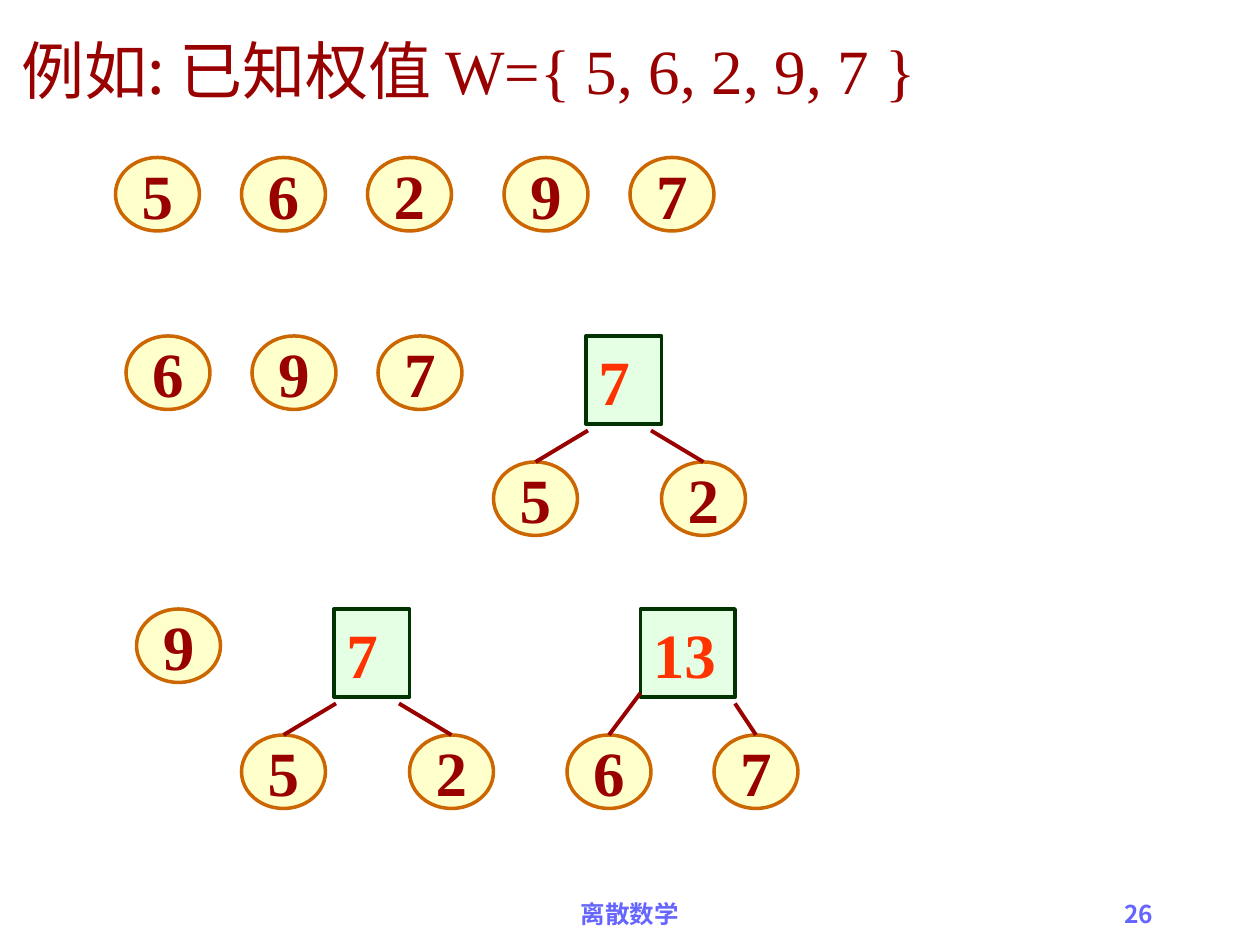
from lxml import etree
from pptx import Presentation
from pptx.dml.color import RGBColor
from pptx.enum.shapes import MSO_CONNECTOR, MSO_SHAPE
from pptx.enum.text import MSO_ANCHOR, MSO_AUTO_SIZE, PP_ALIGN
from pptx.oxml.ns import qn
from pptx.util import Inches, Pt

OVAL, RECTANGLE = MSO_SHAPE.OVAL, MSO_SHAPE.RECTANGLE
STRAIGHT = MSO_CONNECTOR.STRAIGHT
TOP, MIDDLE = MSO_ANCHOR.TOP, MSO_ANCHOR.MIDDLE
LEFT, CENTER, RIGHT = PP_ALIGN.LEFT, PP_ALIGN.CENTER, PP_ALIGN.RIGHT
FIT = MSO_AUTO_SIZE.SHAPE_TO_FIT_TEXT

DARK_RED = RGBColor(0x99, 0x00, 0x00)
BRIGHT_RED = RGBColor(0xFF, 0x33, 0x00)
YELLOW = RGBColor(0xFF, 0xFF, 0x99)
ORANGE = RGBColor(0xCC, 0x66, 0x00)
PALE_GREEN = RGBColor(0xCC, 0xFF, 0xCC)
DARK_GREEN = RGBColor(0x00, 0x33, 0x00)
VIOLET = RGBColor(0x66, 0x66, 0xFF)
SERIF, SANS = "Times New Roman", "Noto Sans CJK SC"

# Diagram places are in grid cells, twelve to the inch.
CELL = Inches(1) / 12
LEAF_WIDTH, LEAF_HEIGHT, ROOT_HEIGHT = 8, 7, 8.4
CHILD_DROP = 12  # from the top of a root to the top of its children

TITLE = [("例如: 已知权值 ", SANS), ("W={ 5, 6, 2, 9, 7 }", SERIF)]
# Each step: top, single leaves as (label, left), trees.
# Each tree: root (label, left, width), then children
# as (label, left, start of the edge below the root's top).
STEPS = [
    (15, [("5", 11), ("6", 23), ("2", 35), ("9", 48), ("7", 60)], []),
    (32, [("6", 12), ("9", 24), ("7", 36)],
     [(("7", 55.8, 7.2), [("5", 47, (56, 9)), ("2", 63, (62, 9))])]),
    (58, [("9", 13)],
     [(("7", 31.8, 7.2), [("5", 23, (32, 9)), ("2", 39, (38, 9))]),
      (("13", 61, 9), [("6", 54, (61, 8)), ("7", 68, (70, 9))])]),
]
# Text, left, width, alignment, font
FOOTERS = [("离散数学", 41, 38, CENTER, SERIF), ("26", 86, 25, RIGHT, SANS)]
FOOTER_TOP, FOOTER_HEIGHT = 85, 6


def cells(*counts):
    return [round(count * CELL) for count in counts]


def write(box, runs, size=36, color=DARK_RED, bold=False, align=LEFT,
          anchor=TOP, wrap=True, fit=MSO_AUTO_SIZE.NONE):
    """Fill a shape with one paragraph of (text, font) runs."""
    frame = box.text_frame
    frame.word_wrap, frame.auto_size = wrap, fit
    frame.vertical_anchor = anchor
    para = frame.paragraphs[0]
    para.alignment = align
    for text, face in runs:
        span = para.add_run()
        span.text = text
        span.font.name, span.font.size = face, Pt(size)
        span.font.bold, span.font.color.rgb = bold, color
        east_asian = etree.SubElement(span.font._element, qn("a:ea"))
        east_asian.set("typeface", SANS)


def add_node(page, kind, place, fill, outline):
    node = page.shapes.add_shape(kind, *cells(*place))
    node.shadow.inherit = False
    node.fill.solid()
    node.fill.fore_color.rgb = fill
    color = node.fill._xPr.find(qn("a:solidFill"))[0]
    etree.SubElement(color, qn("a:alpha")).set("val", "50000")
    node.line.color.rgb, node.line.width = outline, Pt(2)
    return node


def add_leaf(page, label, left, top):
    leaf = add_node(page, OVAL, (left, top, LEAF_WIDTH, LEAF_HEIGHT), YELLOW, ORANGE)
    write(leaf, [(label, SERIF)], bold=True, align=CENTER, anchor=MIDDLE, wrap=False)


def add_edge(page, start, end):
    edge = page.shapes.add_connector(STRAIGHT, *cells(*start, *end))
    edge.line.color.rgb, edge.line.width = DARK_RED, Pt(2.25)
    etree.SubElement(edge._element.spPr, qn("a:effectLst"))


def add_tree(page, top, root, children):
    label, left, width = root
    box = add_node(page, RECTANGLE, (left, top, width, ROOT_HEIGHT), PALE_GREEN, DARK_GREEN)
    write(box, [(label, SERIF)], color=BRIGHT_RED, bold=True, fit=FIT)
    child_top = top + CHILD_DROP
    for label, left, (edge_x, edge_drop) in children:
        add_leaf(page, label, left, child_top)
        add_edge(page, (edge_x, top + edge_drop), (left + LEAF_WIDTH / 2, child_top))


def main():
    deck = Presentation()
    deck.slide_width, deck.slide_height = Inches(10), Inches(7.5)
    page = deck.slides.add_slide(deck.slide_layouts[5])

    title = page.shapes.title
    title.left, title.top = Inches(0.07), Inches(0.2)
    title.width, title.height = Inches(8.04), Inches(0.7)
    write(title, TITLE, wrap=False, fit=FIT)

    for top, leaves, trees in STEPS:
        for label, left in leaves:
            add_leaf(page, label, left, top)
        for root, children in trees:
            add_tree(page, top, root, children)

    for text, left, width, align, face in FOOTERS:
        box = page.shapes.add_textbox(*cells(left, FOOTER_TOP, width, FOOTER_HEIGHT))
        write(box, [(text, face)], size=14, color=VIOLET, bold=True, align=align)

    deck.save("out.pptx")


if __name__ == "__main__":
    main()
